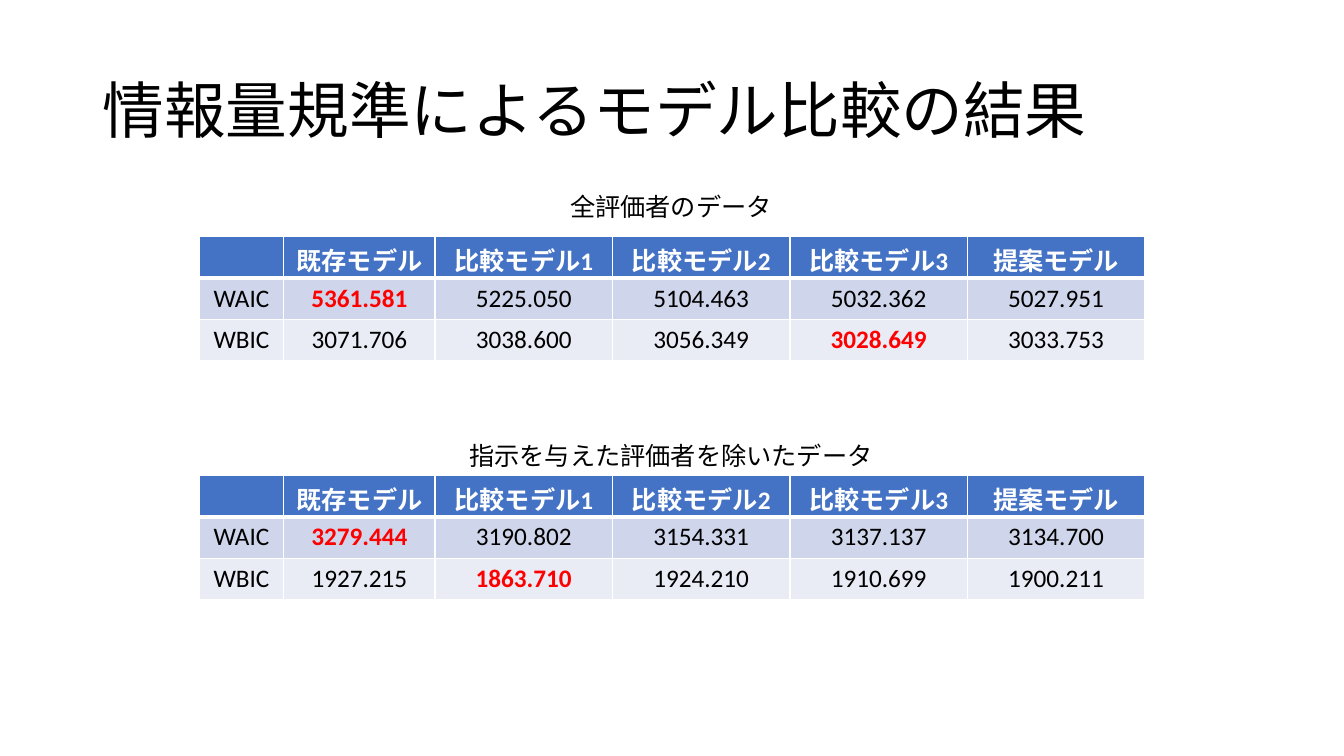
from dataclasses import dataclass

from lxml.etree import SubElement
from pptx import Presentation
from pptx.dml.color import RGBColor as RGB
from pptx.enum.text import MSO_ANCHOR as Anchor, PP_ALIGN as Align
from pptx.oxml.ns import qn
from pptx.util import Inches, Pt


@dataclass(frozen=True)
class Theme:
    font: str = "Calibri"
    title_size: int = 44
    body_size: int = 18
    text: str = "000000"
    best: str = "FF0000"
    header_text: str = "FFFFFF"
    header_fill: str = "4472C4"
    bands: tuple = ("CFD5EA", "E9EBF5")
    border: str = "FFFFFF"


THEME = Theme()
WIDTH, HEIGHT = Inches(13.33), Inches(7.5)
COLUMNS = [Inches(w) for w in (0.84, 1.5, 1.76, 1.76, 1.76, 1.76)]
ROW = Inches(0.41)
TABLE_LEFT = (WIDTH - sum(COLUMNS)) // 2

HEADER = ["", "既存モデル", "比較モデル1", "比較モデル2", "比較モデル3", "提案モデル"]
# Caption, caption top, table top (shares of the height), rows, highlighted values
RESULTS = [
    ("全評価者のデータ", 0.247, 0.313,
     [["WAIC", "5361.581", "5225.050", "5104.463", "5032.362", "5027.951"],
      ["WBIC", "3071.706", "3038.600", "3056.349", "3028.649", "3033.753"]],
     {"5361.581", "3028.649"}),
    ("指示を与えた評価者を除いたデータ", 0.576, 0.629,
     [["WAIC", "3279.444", "3190.802", "3154.331", "3137.137", "3134.700"],
      ["WBIC", "1927.215", "1863.710", "1924.210", "1910.699", "1900.211"]],
     {"3279.444", "1863.710"}),
]


def add_run(p, text, size, color, bold=False):
    r = p.add_run()
    r.text = text
    r.font.name = THEME.font
    r.font.size = Pt(size)
    r.font.bold = bold
    r.font.color.rgb = RGB.from_string(color)


def add_title(slide, text):
    box = slide.shapes.add_textbox(Inches(0.92), Inches(0.4), Inches(11.5), Inches(1.45))
    tf = box.text_frame
    tf.word_wrap = True
    tf.vertical_anchor = Anchor.MIDDLE
    p = tf.paragraphs[0]
    p.line_spacing = 0.9
    add_run(p, text, THEME.title_size, THEME.text)


def add_caption(slide, text, top):
    """Centre a box on the slide that is as wide as its full-width characters."""
    width = Pt(THEME.body_size) * len(text) + Inches(0.22)
    box = slide.shapes.add_textbox((WIDTH - width) // 2, top, width, Inches(0.4))
    tf = box.text_frame
    tf.word_wrap = True
    add_run(tf.paragraphs[0], text, THEME.body_size, THEME.text)


def set_borders(cell, **widths):
    tc_pr = cell._tc.get_or_add_tcPr()
    for side in "LRTB":
        line = SubElement(tc_pr, qn(f"a:ln{side}"), w=str(Pt(widths.get(side, 1))))
        fill = SubElement(line, qn("a:solidFill"))
        SubElement(fill, qn("a:srgbClr"), val=THEME.border)


def fill_cell(cell, text, fill, color, bold):
    cell.fill.solid()
    cell.fill.fore_color.rgb = RGB.from_string(fill)
    p = cell.text_frame.paragraphs[0]
    p.alignment = Align.CENTER
    if text:
        add_run(p, text, THEME.body_size, color, bold)


def add_result_table(slide, top, rows, best):
    grid = [HEADER, *rows]
    table = slide.shapes.add_table(
        len(grid), len(COLUMNS), TABLE_LEFT, top, sum(COLUMNS), ROW * len(grid)).table
    for column, width in zip(table.columns, COLUMNS):
        column.width = width
    for i, values in enumerate(grid):
        table.rows[i].height = ROW
        for j, text in enumerate(values):
            cell = table.cell(i, j)
            set_borders(cell, T=3 if i == 1 else 1, B=3 if i == 0 else 1)
            if i == 0:
                fill_cell(cell, text, THEME.header_fill, THEME.header_text, True)
            else:
                marked = text in best
                color = THEME.best if marked else THEME.text
                fill_cell(cell, text, THEME.bands[(i - 1) % 2], color, marked)


def main():
    prs = Presentation()
    prs.slide_width, prs.slide_height = WIDTH, HEIGHT
    s = prs.slides.add_slide(prs.slide_layouts[6])
    add_title(s, "情報量規準によるモデル比較の結果")
    for caption, caption_top, table_top, rows, best in RESULTS:
        add_caption(s, caption, int(HEIGHT * caption_top))
        add_result_table(s, int(HEIGHT * table_top), rows, best)
    prs.save("out.pptx")


if __name__ == "__main__":
    main()
